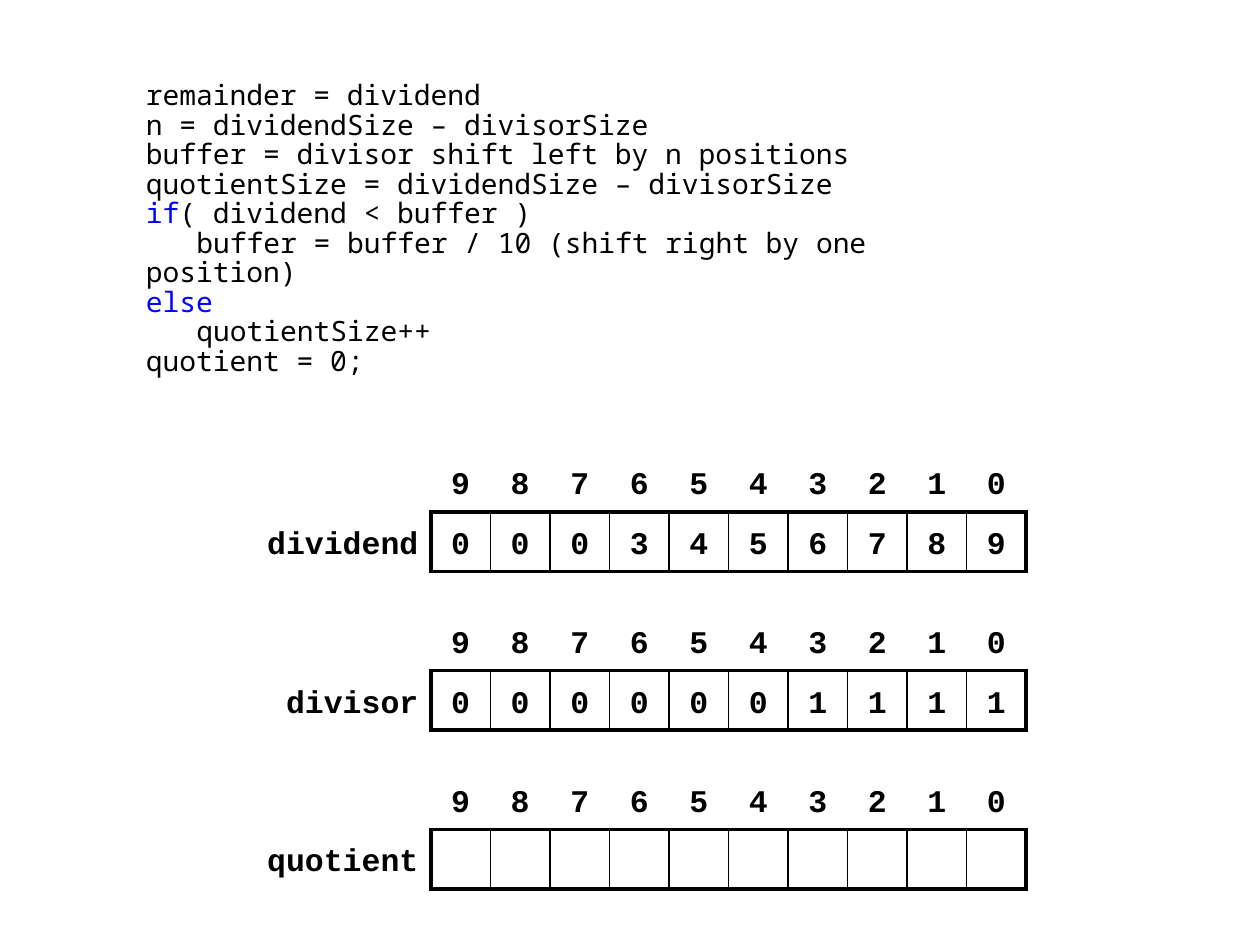
from lxml import etree
from pptx import Presentation
from pptx.dml.color import RGBColor
from pptx.enum.text import MSO_ANCHOR, PP_ALIGN
from pptx.oxml.ns import qn
from pptx.util import Inches, Pt

CENTER, RIGHT = PP_ALIGN.CENTER, PP_ALIGN.RIGHT
MIDDLE = MSO_ANCHOR.MIDDLE
BLACK = RGBColor(0, 0, 0)
BLUE = RGBColor(0, 0, 255)
NO_STYLE = "{2D5ABB26-0587-4C30-8999-92F81FD0307C}"
CODE_FONT = {"name": "Noto Sans Mono", "size": Pt(16)}
DIGIT_FONT = {"name": "Courier New", "size": Pt(18), "bold": True}
MARGINS = {"margin_left": Inches(0.1), "margin_right": Inches(0.1),
           "margin_top": Inches(0.04), "margin_bottom": Inches(0.04)}
THICK, THIN = 2.25, 1
DIGITS = 10
CELL = 0.4725
LABEL_WIDTH = 1.57
TABLE_LEFT, TABLE_TOP, TABLE_PITCH = 1.85, 3.59, 1.26

# Each line: keyword, remaining text, indented or not
CODE = [
    ("", "remainder = dividend", False),
    ("", "n = dividendSize – divisorSize", False),
    ("", "buffer = divisor shift left by n positions", False),
    ("", "quotientSize = dividendSize – divisorSize", False),
    ("if", "( dividend < buffer )", False),
    ("", "buffer = buffer / 10 (shift right by one position)", True),
    ("else", "", False),
    ("", "quotientSize++", True),
    ("", "quotient = 0;", False),
]
REGISTERS = [("dividend", "0003456789"), ("divisor", "0000001111"),
             ("quotient", "")]


def add_run(p, text, style, color=BLACK):
    """Add a run with the given font values and colour."""
    r = p.add_run()
    r.text = text
    for key, value in style.items():
        setattr(r.font, key, value)
    r.font.color.rgb = color


def set_borders(cell, widths):
    """Draw the borders whose widths in points are given, and no others."""
    tcPr = cell._tc.get_or_add_tcPr()
    for i, side in enumerate("LRTB"):
        width = widths.get(side, 0)
        ln = etree.Element(qn("a:ln" + side), w=str(Pt(width)))
        if width:
            fill = etree.SubElement(ln, qn("a:solidFill"))
            etree.SubElement(fill, qn("a:srgbClr"), val=str(BLACK))
        else:
            etree.SubElement(ln, qn("a:noFill"))
        tcPr.insert(i, ln)


prs = Presentation()
prs.slide_width, prs.slide_height = Inches(10), Inches(7.5)
s = prs.slides.add_slide(prs.slide_layouts[6])

# Pseudocode
sp = s.shapes.add_textbox(Inches(1.06), Inches(0.6), Inches(7.25), Inches(2.52))
tf = sp.text_frame
tf.word_wrap = True
tf.margin_right = Inches(0.15)
for i, (keyword, text, indented) in enumerate(CODE):
    p = tf.add_paragraph() if i else tf.paragraphs[0]
    p.line_spacing = 0.88
    if indented:
        p._p.get_or_add_pPr().set("indent", str(Inches(0.4)))
    for part, color in ((keyword, BLUE), (text, BLACK)):
        if part:
            add_run(p, part, CODE_FONT, color)

# Registers: an index row above a row of boxed digits
for n, (label, digits) in enumerate(REGISTERS):
    frame = s.shapes.add_table(
        2, DIGITS + 1, Inches(TABLE_LEFT), Inches(TABLE_TOP + n * TABLE_PITCH),
        Inches(LABEL_WIDTH + DIGITS * CELL), Inches(2 * CELL))
    table = frame.table
    table.first_row = table.horz_banding = False
    table._tbl.tblPr.find(qn("a:tableStyleId")).text = NO_STYLE
    for row in table.rows:
        row.height = Inches(CELL)
    for c, column in enumerate(table.columns):
        column.width = Inches(CELL if c else LABEL_WIDTH)
    rows = [[""] + [str(d) for d in reversed(range(DIGITS))],
            [label] + list(digits.ljust(DIGITS))]
    for y, texts in enumerate(rows):
        for x, text in enumerate(texts):
            cell = table.cell(y, x)
            cell.fill.background()
            cell.vertical_anchor = MIDDLE
            for key, value in MARGINS.items():
                setattr(cell, key, value)
            if y and x:
                set_borders(cell, {"L": THICK if x == 1 else THIN,
                                   "R": THICK if x == DIGITS else THIN,
                                   "T": THICK, "B": THICK})
            elif y:
                set_borders(cell, {"R": THICK})
            else:
                set_borders(cell, {"B": THICK} if x else {})
            p = cell.text_frame.paragraphs[0]
            p.alignment = CENTER if x else RIGHT
            p.line_spacing = 1.25
            if text.strip():
                add_run(p, text, DIGIT_FONT)

prs.save("out.pptx")
